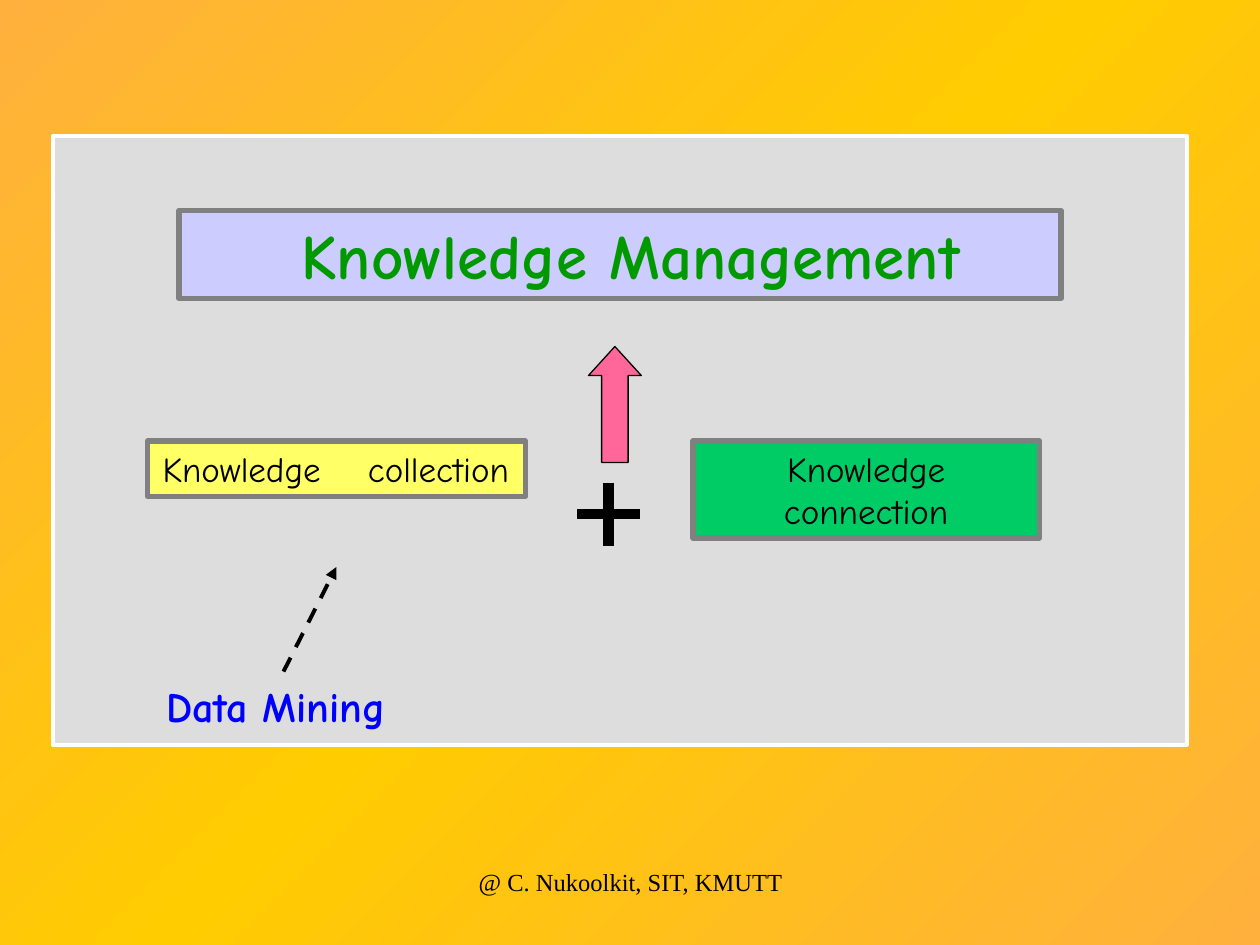
import copy

import pptx
import pptx.dml.color
import pptx.enum.dml
import pptx.enum.shapes
import pptx.enum.text
import pptx.oxml
import pptx.oxml.ns
import pptx.util

Inches = pptx.util.Inches
Pt = pptx.util.Pt
RGB = pptx.dml.color.RGBColor.from_string
SHAPE = pptx.enum.shapes.MSO_SHAPE
ALIGN = pptx.enum.text.PP_ALIGN
qn = pptx.oxml.ns.qn

THEME = {
    "background": ("FFB03D", "FFCC00", "FFB03D"),
    "panel": "DDDDDD", "panel_line": "FFFFFF", "box_line": "808080",
    "title_fill": "CCCCFF", "collection": "FFFF66", "connection": "00CC66",
    "arrow": "FF6699", "ink": "000000", "title_ink": "009900", "mining_ink": "0000FF",
    "font": "Comic Neue", "footer_font": "Times New Roman",
    "title_size": 36, "mining_size": 24, "box_size": 20, "footer_size": 14,
}


def paint(shape, fill, line, width):
    """Give a shape a solid fill and outline, without shadow."""
    shape.fill.solid()
    shape.fill.fore_color.rgb = RGB(fill)
    shape.line.color.rgb = RGB(line)
    shape.line.width = Pt(width)
    if hasattr(shape, "shadow"):
        shape.shadow.inherit = False


def write(shape, text, size, color="ink", font="font", bold=False,
          align=ALIGN.CENTER, margin_left=0.1, tab=None):
    """Write one formatted paragraph at the top of a shape."""
    frame = shape.text_frame
    frame_format = {
        "word_wrap": True,
        "auto_size": pptx.enum.text.MSO_AUTO_SIZE.NONE,
        "vertical_anchor": pptx.enum.text.MSO_ANCHOR.TOP,
        "margin_left": Inches(margin_left), "margin_right": Inches(0.1),
        "margin_top": Inches(0.05), "margin_bottom": Inches(0.05),
    }
    for name, value in frame_format.items():
        setattr(frame, name, value)
    frame.text = text
    paragraph = frame.paragraphs[0]
    paragraph.alignment = align
    if tab:
        tabs = pptx.oxml.parse_xml(f'<a:tabLst {pptx.oxml.ns.nsdecls("a")}/>')
        stop = tabs.makeelement(qn("a:tab"), {"pos": str(Inches(tab)), "algn": "l"})
        tabs.append(stop)
        paragraph._p.get_or_add_pPr().append(tabs)
    run_font = paragraph.runs[0].font
    for name, value in {"name": THEME[font], "size": Pt(THEME[size]), "bold": bold}.items():
        setattr(run_font, name, value)
    run_font.color.rgb = RGB(THEME[color])


presentation = pptx.Presentation()
presentation.slide_width = Inches(10)
presentation.slide_height = Inches(7.5)
slide = presentation.slides.add_slide(presentation.slide_layouts[5])
shapes = slide.shapes

# Diagonal background gradient with a bright middle
background = slide.background.fill
background.gradient()
stop_list = slide.element.find(".//" + qn("a:gsLst"))
stop_list.append(copy.deepcopy(stop_list[0]))
for index, (stop, color) in enumerate(zip(background.gradient_stops, THEME["background"])):
    stop.position = index / 2
    stop.color.rgb = RGB(color)
background.gradient_angle = 315

# Panel
panel = shapes.add_shape(SHAPE.RECTANGLE, Inches(0.42), Inches(1.08), Inches(9), Inches(4.83))
paint(panel, THEME["panel"], THEME["panel_line"], 2.25)

# Title box, brought in front of the panel
title = shapes.title
title.left, title.top, title.width, title.height = map(Inches, (1.42, 1.67, 7, 0.7))
paint(title, THEME["title_fill"], THEME["box_line"], 3)
write(title, "Knowledge Management", "title_size", "title_ink", bold=True, margin_left=0.27)
shapes.element.append(title.element)

# Knowledge boxes
boxes = [
    ("Knowledge\tcollection", "collection", 1.17, 3, 0.44,
     {"align": ALIGN.LEFT, "margin_left": 0.12, "tab": 1.63}),
    ("Knowledge connection", "connection", 5.5, 2.75, 0.77, {}),
]
for text, fill, left, width, height, text_format in boxes:
    box = shapes.add_shape(SHAPE.RECTANGLE, Inches(left), Inches(3.5),
                           Inches(width), Inches(height))
    paint(box, THEME[fill], THEME["box_line"], 3)
    write(box, text, "box_size", **text_format)

# Arrow up to the title
arrow = shapes.add_shape(SHAPE.UP_ARROW, Inches(4.67), Inches(2.75), Inches(0.42), Inches(0.92))
arrow.adjustments[1] = 0.55
paint(arrow, THEME["arrow"], THEME["ink"], 0.75)

# Plus sign and dashed arrow
lines = [
    (4.58, 4.08, 5.08, 4.08, 6, False),
    (4.83, 3.83, 4.83, 4.33, 6, False),
    (2.25, 5.33, 2.67, 4.5, 2.25, True),
]
for *ends, width, dashed in lines:
    connector = shapes.add_connector(pptx.enum.shapes.MSO_CONNECTOR.STRAIGHT, *map(Inches, ends))
    connector.line.color.rgb = RGB(THEME["ink"])
    connector.line.width = Pt(width)
    if dashed:
        connector.line.dash_style = pptx.enum.dml.MSO_LINE.DASH
        outline = connector.line._get_or_add_ln()
        outline.append(outline.makeelement(qn("a:tailEnd"), {"type": "triangle"}))
    properties = connector.element.spPr
    properties.append(properties.makeelement(qn("a:effectLst"), {}))

# Data mining label and footer
labels = [
    ("Data Mining", 1.22, 5.35, 2.58,
     {"size": "mining_size", "color": "mining_ink", "bold": True, "align": ALIGN.LEFT}),
    ("@ C. Nukoolkit, SIT, KMUTT", 3.42, 6.83, 3.17,
     {"size": "footer_size", "font": "footer_font"}),
]
for text, left, top, width, text_format in labels:
    label = shapes.add_textbox(Inches(left), Inches(top), Inches(width), Inches(0.5))
    write(label, text, **text_format)

presentation.save("out.pptx")
